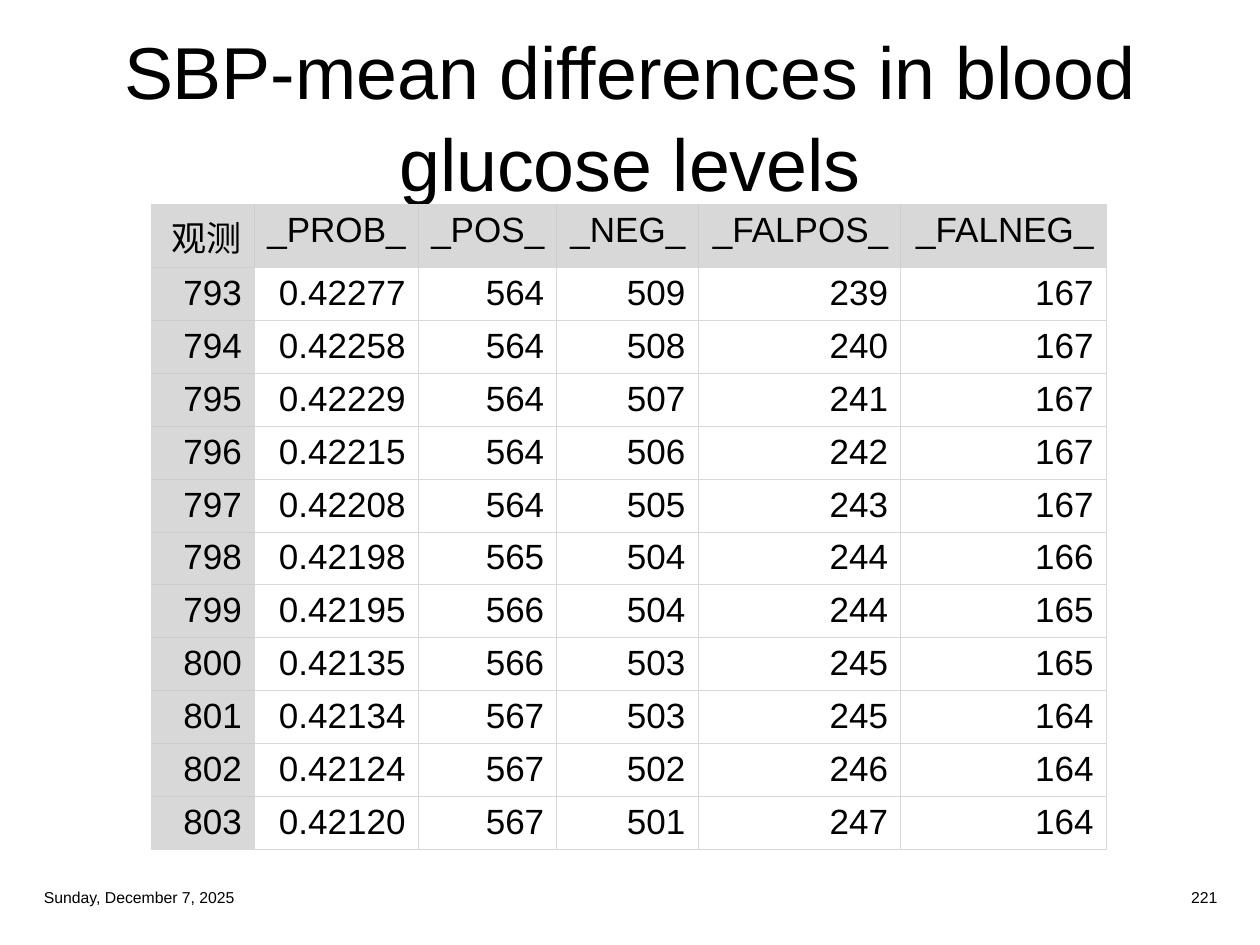
"""Build a slide with a classification table for SBP differences in blood glucose."""
import pptx
import pptx.dml.color
import pptx.enum.text
import pptx.oxml
import pptx.oxml.ns
import pptx.util
from pptx.util import Inches

BLACK = pptx.dml.color.RGBColor(0x00, 0x00, 0x00)
SHADE = pptx.dml.color.RGBColor(0xD8, 0xD8, 0xD8)
SHADE_RULE = pptx.dml.color.RGBColor(0xCC, 0xCC, 0xCC)
ALIGN = pptx.enum.text.PP_ALIGN
ANCHOR = pptx.enum.text.MSO_ANCHOR

COLUMN_WIDTHS = [0.82, 1.3, 1.1, 1.12, 1.61, 1.63]
ROW_HEIGHT = 0.42
HEADER = ["观测", "_PROB_", "_POS_", "_NEG_", "_FALPOS_", "_FALNEG_"]
OBSERVATIONS = [
    ["793", "0.42277", "564", "509", "239", "167"],
    ["794", "0.42258", "564", "508", "240", "167"],
    ["795", "0.42229", "564", "507", "241", "167"],
    ["796", "0.42215", "564", "506", "242", "167"],
    ["797", "0.42208", "564", "505", "243", "167"],
    ["798", "0.42198", "565", "504", "244", "166"],
    ["799", "0.42195", "566", "504", "244", "165"],
    ["800", "0.42135", "566", "503", "245", "165"],
    ["801", "0.42134", "567", "503", "245", "164"],
    ["802", "0.42124", "567", "502", "246", "164"],
    ["803", "0.42120", "567", "501", "247", "164"],
]


class SlideBuilder:
    """Hold the font style and the current slide."""

    font_name = "Arial"
    border_width = pptx.util.Pt(0.5)

    def __init__(self, page):
        self.page = page

    def format_text(self, frame, text, size, alignment):
        frame.text = text
        for para in frame.paragraphs:
            para.alignment = alignment
            para.font.name = self.font_name
            para.font.size = pptx.util.Pt(size)
            para.font.color.rgb = BLACK

    def title(self, text, left, top, width, height):
        box = self.page.shapes.title
        box.left, box.top = Inches(left), Inches(top)
        box.width, box.height = Inches(width), Inches(height)
        frame = box.text_frame
        frame.auto_size = pptx.enum.text.MSO_AUTO_SIZE.NONE
        frame.vertical_anchor = ANCHOR.MIDDLE
        self.format_text(frame, text, 42, ALIGN.CENTER)
        frame.paragraphs[0].line_spacing = 1.04

    def footer(self, text, left, alignment):
        box = self.page.shapes.add_textbox(
            Inches(left), Inches(6.99), Inches(2.38), Inches(0.26))
        box.text_frame.word_wrap = True
        box.text_frame.vertical_anchor = ANCHOR.MIDDLE
        self.format_text(box.text_frame, text, 9, alignment)

    def border(self, cell, side, color):
        properties = cell._tc.get_or_add_tcPr()
        properties.append(pptx.oxml.parse_xml(
            f'<a:ln{side} {pptx.oxml.ns.nsdecls("a")} w="{self.border_width}">'
            f'<a:solidFill><a:srgbClr val="{color}"/></a:solidFill></a:ln{side}>'))

    def table(self, rows, left, top):
        last_row, last_column = len(rows) - 1, len(COLUMN_WIDTHS) - 1
        table = self.page.shapes.add_table(
            len(rows), len(COLUMN_WIDTHS), Inches(left), Inches(top),
            Inches(sum(COLUMN_WIDTHS)), Inches(ROW_HEIGHT * len(rows))).table
        table.first_row = table.horz_banding = False
        for column, width in zip(table.columns, COLUMN_WIDTHS):
            column.width = Inches(width)
        for r, values in enumerate(rows):
            table.rows[r].height = Inches(ROW_HEIGHT)
            for c, value in enumerate(values):
                cell = table.cell(r, c)
                self.format_text(cell.text_frame, value, 20, ALIGN.RIGHT)
                shaded = r == 0 or c == 0
                outer_edges = {"L": c == 0, "R": c == last_column,
                               "T": r == 0, "B": r == last_row}
                for side, outer in outer_edges.items():
                    self.border(cell, side, SHADE_RULE if shaded and not outer else SHADE)
                if shaded:
                    cell.fill.solid()
                    cell.fill.fore_color.rgb = SHADE
                else:
                    cell.fill.background()


def main():
    deck = pptx.Presentation()
    deck.slide_width, deck.slide_height = Inches(10), Inches(7.5)
    builder = SlideBuilder(deck.slides.add_slide(deck.slide_layouts[5]))
    builder.title("SBP-mean differences in blood\vglucose levels", 0.25, 0.25, 9.5, 1.31)
    builder.table([HEADER] + OBSERVATIONS, 1.2, 1.62)
    builder.footer("Sunday, December 7, 2025", 0.25, ALIGN.LEFT)
    builder.footer("221", 7.38, ALIGN.RIGHT)
    deck.save("out.pptx")


if __name__ == "__main__":
    main()
